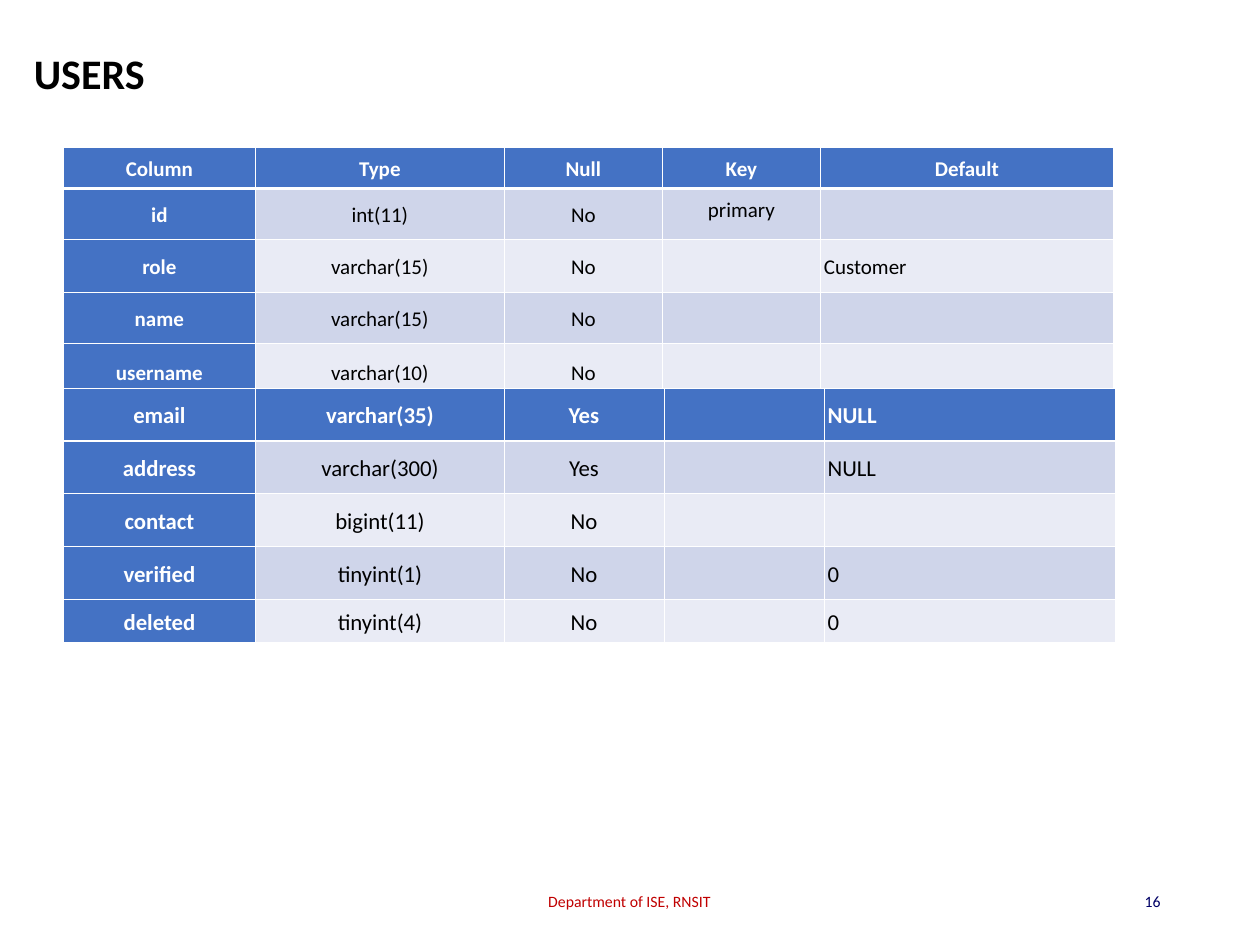
from lxml.etree import SubElement
from pptx import Presentation
from pptx.dml.color import RGBColor
from pptx.enum.text import MSO_ANCHOR as Anchor, MSO_AUTO_SIZE as AutoSize, PP_ALIGN as Align
from pptx.oxml.ns import qn
from pptx.util import Inches, Pt

COLORS = {
    "white": "FFFFFF",
    "black": "000000",
    "header": "4472C4",
    "band_dark": "CFD5EA",
    "band_light": "E9EBF5",
    "footer": "C00000",
    "number": "000066",
}
THIN, THICK = 0.45, 1.47
DEFAULT_COLUMN = 4

FIRST_ROWS = [
    ["Column", "Type", "Null", "Key", "Default"],
    ["id", "int(11)", "No", "primary", ""],
    ["role", "varchar(15)", "No", "", "Customer"],
    ["name", "varchar(15)", "No", "", ""],
    ["username", "varchar(10)", "No", "", ""],
]
SECOND_ROWS = [
    ["email", "varchar(35)", "Yes", "", "NULL"],
    ["address", "varchar(300)", "Yes", "", "NULL"],
    ["contact", "bigint(11)", "No", "", ""],
    ["verified", "tinyint(1)", "No", "", "0"],
    ["deleted", "tinyint(4)", "No", "", "0"],
]


def write_text(frame, text, size, color, bold=False, align=Align.LEFT,
               line_spacing=None, space_after=None):
    paragraph = frame.paragraphs[0]
    paragraph.alignment = align
    paragraph.line_spacing = line_spacing
    if space_after is not None:
        paragraph.space_after = Pt(space_after)
    run = paragraph.add_run()
    run.text = text
    font = run.font
    font.name = "Calibri"
    font.size = Pt(size)
    font.bold = bold
    font.color.rgb = RGBColor.from_string(COLORS[color])


def set_borders(cell, **widths):
    properties = cell._tc.get_or_add_tcPr()
    for side in "LRTB":
        width = Pt(widths.get(side, THIN))
        line = SubElement(properties, qn(f"a:ln{side}"), w=str(width))
        fill = SubElement(line, qn("a:solidFill"))
        SubElement(fill, qn("a:srgbClr"), val=COLORS["white"])


class SlideBuilder:
    def __init__(self, slide):
        self.slide = slide

    def add_text(self, text, left, top, width, height, wrap=True, **style):
        shape = self.slide.shapes.add_textbox(
            Inches(left), Inches(top), Inches(width), Inches(height))
        frame = shape.text_frame
        frame.word_wrap = wrap
        frame.auto_size = AutoSize.NONE if wrap else AutoSize.SHAPE_TO_FIT_TEXT
        frame.vertical_anchor = Anchor.MIDDLE
        write_text(frame, text, **style)

    def add_table(self, rows, left, top, widths, heights, size, empty_size,
                  first_line_alignment, space_after=None):
        table = self.slide.shapes.add_table(
            len(rows), len(widths), Inches(left), Inches(top),
            Inches(sum(widths)), Inches(sum(heights))).table
        table.first_row = table.horz_banding = False
        for column, width in zip(table.columns, widths):
            column.width = Inches(width)
        for row, height in zip(table.rows, heights):
            row.height = Inches(height)
        for i, values in enumerate(rows):
            for j, text in enumerate(values):
                cell = table.cell(i, j)
                heading = i == 0 or j == 0
                align = Align.JUSTIFY if j == DEFAULT_COLUMN else Align.CENTER
                if i == 0:
                    set_borders(cell, B=THICK)
                    if j == DEFAULT_COLUMN:
                        align = first_line_alignment
                else:
                    set_borders(cell, T=THICK if i == 1 else THIN)
                band = "band_dark" if i % 2 else "band_light"
                cell.fill.solid()
                cell.fill.fore_color.rgb = RGBColor.from_string(
                    COLORS["header" if heading else band])
                is_key = j == 3
                cell.vertical_anchor = Anchor.TOP if is_key else Anchor.MIDDLE
                cell.margin_left = cell.margin_right = Inches(0.01 if is_key else 0.03)
                if text:
                    write_text(cell.text_frame, text, size,
                               "white" if heading else "black", bold=heading,
                               align=align, line_spacing=1.11,
                               space_after=space_after)
                else:
                    SubElement(cell.text_frame.paragraphs[0]._p,
                               qn("a:endParaRPr"), sz=str(empty_size * 100))


def main():
    presentation = Presentation()
    presentation.slide_width = Inches(10)
    presentation.slide_height = Inches(7.5)
    builder = SlideBuilder(presentation.slides.add_slide(presentation.slide_layouts[6]))

    builder.add_text("Department of ISE, RNSIT", 3.31, 6.95, 3.37, 0.4,
                     size=9, color="footer", align=Align.CENTER)
    builder.add_text("16", 7.06, 6.95, 2.25, 0.4,
                     size=9, color="number", align=Align.RIGHT)
    builder.add_table(FIRST_ROWS, 0.5, 1.17, [1.53, 1.97, 1.26, 1.25, 2.33],
                      [0.29, 0.39, 0.42, 0.39, 0.45], size=12, empty_size=18,
                      first_line_alignment=Align.CENTER)
    builder.add_text("USERS", 0.17, 0.33, 1.08, 0.5, wrap=False,
                     size=24, color="black", bold=True)
    builder.add_table(SECOND_ROWS, 0.5, 3.08, [1.53, 1.97, 1.27, 1.27, 2.31],
                      [0.42] * 4 + [0.32], size=13, empty_size=13,
                      first_line_alignment=Align.JUSTIFY, space_after=0.3)
    presentation.save("out.pptx")


if __name__ == "__main__":
    main()
